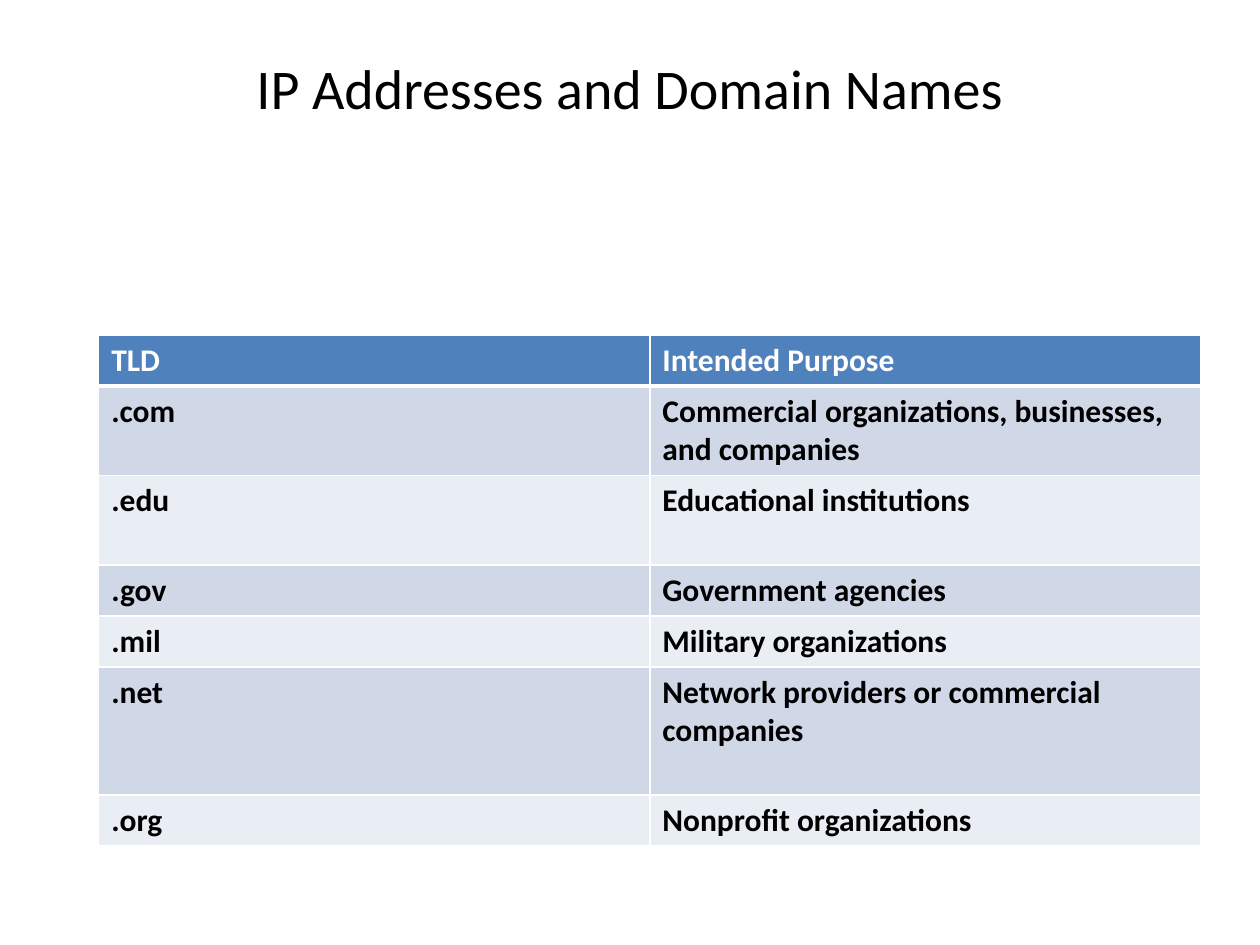
import pptx
import pptx.dml.color
import pptx.enum.text
import pptx.oxml.ns
import pptx.util
from lxml import etree
from pptx.util import Cm

FONT = "Calibri"
WHITE, BLACK = "FFFFFF", "000000"
HEADER_FILL = "4F81BD"
BAND_FILLS = ("D0D8E8", "E9EDF4")
COLUMN_WIDTH = Cm(11.11)

# Row height in cm, domain, purpose (one string per paragraph)
ROWS = [
    (1.02, "TLD", ["Intended Purpose"]),
    (1.8, ".com", ["Commercial organizations, businesses,", "and companies"]),
    (1.8, ".edu", ["Educational institutions"]),
    (1.03, ".gov", ["Government agencies"]),
    (1.03, ".mil", ["Military organizations"]),
    (2.58, ".net", ["Network providers or commercial companies"]),
    (1.03, ".org", ["Nonprofit organizations"]),
]


def color(value):
    return pptx.dml.color.RGBColor.from_string(value)


def set_attributes(target, values):
    for name, value in values.items():
        setattr(target, name, value)


def format_text(paragraph, text, size, text_color, bold=False):
    run = paragraph.add_run()
    run.text = text
    set_attributes(run.font, {"name": FONT, "size": pptx.util.Pt(size), "bold": bold})
    run.font.color.rgb = color(text_color)


def add_border(cell, side, width, line_color):
    properties = cell._tc.get_or_add_tcPr()
    line = etree.SubElement(properties, pptx.oxml.ns.qn(f"a:ln{side}"),
                            w=str(pptx.util.Pt(width)))
    fill = etree.SubElement(line, pptx.oxml.ns.qn("a:solidFill"))
    etree.SubElement(fill, pptx.oxml.ns.qn("a:srgbClr"), val=line_color)


def format_cell(cell, texts, fill, text_color, border_widths):
    # Borders come before the fill in the cell properties
    for side, width in border_widths.items():
        add_border(cell, side, width, WHITE)
    cell.fill.solid()
    cell.fill.fore_color.rgb = color(fill)
    frame = cell.text_frame
    for index, text in enumerate(texts):
        paragraph = frame.add_paragraph() if index else frame.paragraphs[0]
        format_text(paragraph, text, 18, text_color, bold=True)


def add_title(slide, text):
    title = slide.shapes.title
    set_attributes(title, {"left": Cm(1.27), "top": Cm(0.76),
                           "width": Cm(22.86), "height": Cm(1.98)})
    set_attributes(title.text_frame, {
        "word_wrap": True,
        "vertical_anchor": pptx.enum.text.MSO_ANCHOR.MIDDLE})
    paragraph = title.text_frame.paragraphs[0]
    paragraph.alignment = pptx.enum.text.PP_ALIGN.CENTER
    format_text(paragraph, text, 32, BLACK)


def add_domain_table(slide):
    height = Cm(sum(row[0] for row in ROWS))
    table = slide.shapes.add_table(len(ROWS), 2, Cm(1.99), Cm(6.75),
                                   2 * COLUMN_WIDTH, height).table
    for column in table.columns:
        column.width = COLUMN_WIDTH
    for index, (row_height, domain, purpose) in enumerate(ROWS):
        table.rows[index].height = Cm(row_height)
        is_header = index == 0
        fill = HEADER_FILL if is_header else BAND_FILLS[(index - 1) % 2]
        text_color = WHITE if is_header else BLACK
        borders = {"L": 1, "R": 1, "T": 3 if index == 1 else 1,
                   "B": 3 if is_header else 1}
        for cell, texts in zip(table.rows[index].cells, ([domain], purpose)):
            format_cell(cell, texts, fill, text_color, borders)


def main():
    presentation = pptx.Presentation()
    set_attributes(presentation, {"slide_width": Cm(25.4), "slide_height": Cm(19.05)})
    slide = presentation.slides.add_slide(presentation.slide_layouts[5])
    add_title(slide, "IP Addresses and Domain Names")
    add_domain_table(slide)
    presentation.save("out.pptx")


main()
